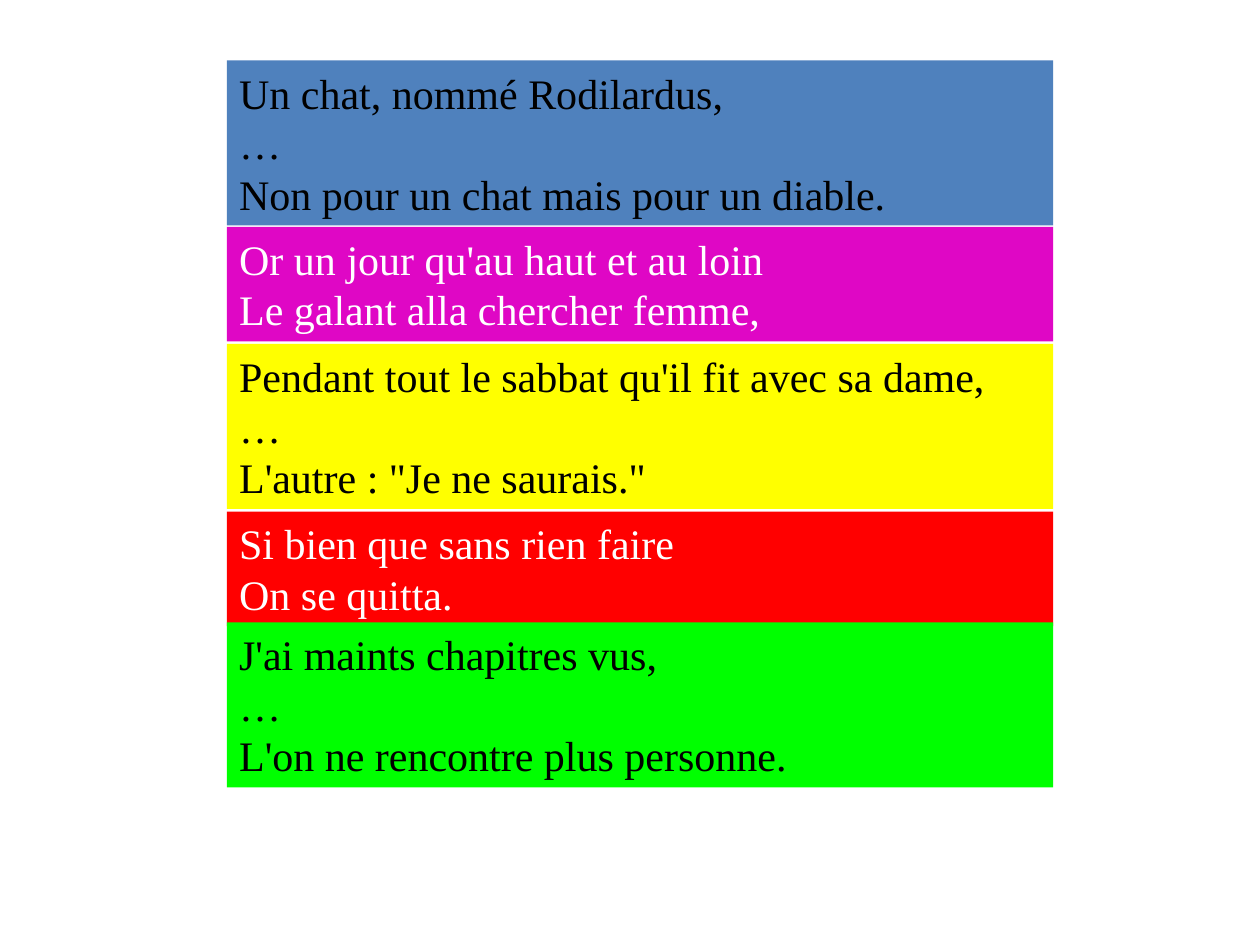
from dataclasses import dataclass

from pptx import Presentation
from pptx.dml.color import RGBColor
from pptx.enum.shapes import MSO_SHAPE
from pptx.enum.text import MSO_ANCHOR, MSO_AUTO_SIZE, PP_ALIGN
from pptx.slide import Slide
from pptx.util import Inches, Pt

RECTANGLE = MSO_SHAPE.RECTANGLE
TOP, MIDDLE = MSO_ANCHOR.TOP, MSO_ANCHOR.MIDDLE
LEFT, JUSTIFY = PP_ALIGN.LEFT, PP_ALIGN.JUSTIFY
FIT_SHAPE = MSO_AUTO_SIZE.SHAPE_TO_FIT_TEXT

SLIDE_WIDTH, SLIDE_HEIGHT = Inches(10), Inches(7.5)
STANZA_LEFT = 0.18 * SLIDE_WIDTH
STANZA_WIDTH = 0.656 * SLIDE_WIDTH
LINE_HEIGHT = 0.4
STANZA_PADDING = 0.11
FONT = "Times New Roman"
FONT_SIZE = Pt(24)
BLACK, WHITE = "000000", "FFFFFF"


@dataclass(frozen=True)
class Stanza:
    top: float
    fill: str
    ink: str
    verses: tuple[str, ...]
    anchor: MSO_ANCHOR = TOP
    alignment: PP_ALIGN = LEFT


STANZAS = (
    Stanza(0.48, "4F81BD", BLACK,
           ("Un chat, nommé Rodilardus,\t", "…",
            "Non pour un chat mais pour un diable."), MIDDLE),
    Stanza(2.73, "FFFF00", BLACK,
           ("Pendant tout le sabbat qu'il fit avec sa dame,", "…",
            "L'autre : \"Je ne saurais.\""), MIDDLE, JUSTIFY),
    Stanza(1.8, "DF07C5", WHITE,
           ("Or un jour qu'au haut et au loin",
            "Le galant alla chercher femme,")),
    Stanza(4.06, "FF0000", WHITE,
           ("Si bien que sans rien faire", "On se quitta.")),
    Stanza(4.94, "00FF00", BLACK,
           ("J'ai maints chapitres vus,", "…",
            "L'on ne rencontre plus personne.")),
)


def color(code: str) -> RGBColor:
    return RGBColor.from_string(code)


def draw_stanza(slide: Slide, stanza: Stanza) -> None:
    height = len(stanza.verses) * LINE_HEIGHT + STANZA_PADDING
    band = slide.shapes.add_shape(
        RECTANGLE, int(STANZA_LEFT), Inches(stanza.top),
        int(STANZA_WIDTH), Inches(height))
    band.shadow.inherit = False
    band.fill.solid()
    band.fill.fore_color.rgb = color(stanza.fill)
    band.line.fill.background()

    frame = band.text_frame
    frame.word_wrap = True
    frame.auto_size = FIT_SHAPE
    frame.vertical_anchor = stanza.anchor
    for index, verse in enumerate(stanza.verses):
        paragraph = frame.add_paragraph() if index else frame.paragraphs[0]
        paragraph.alignment = stanza.alignment
        run = paragraph.add_run()
        run.text = verse
        run.font.name = FONT
        run.font.size = FONT_SIZE
        run.font.color.rgb = color(stanza.ink)


def main() -> None:
    presentation = Presentation()
    presentation.slide_width = SLIDE_WIDTH
    presentation.slide_height = SLIDE_HEIGHT
    slide = presentation.slides.add_slide(presentation.slide_layouts[6])
    for stanza in STANZAS:
        draw_stanza(slide, stanza)
    presentation.save("out.pptx")


if __name__ == "__main__":
    main()
